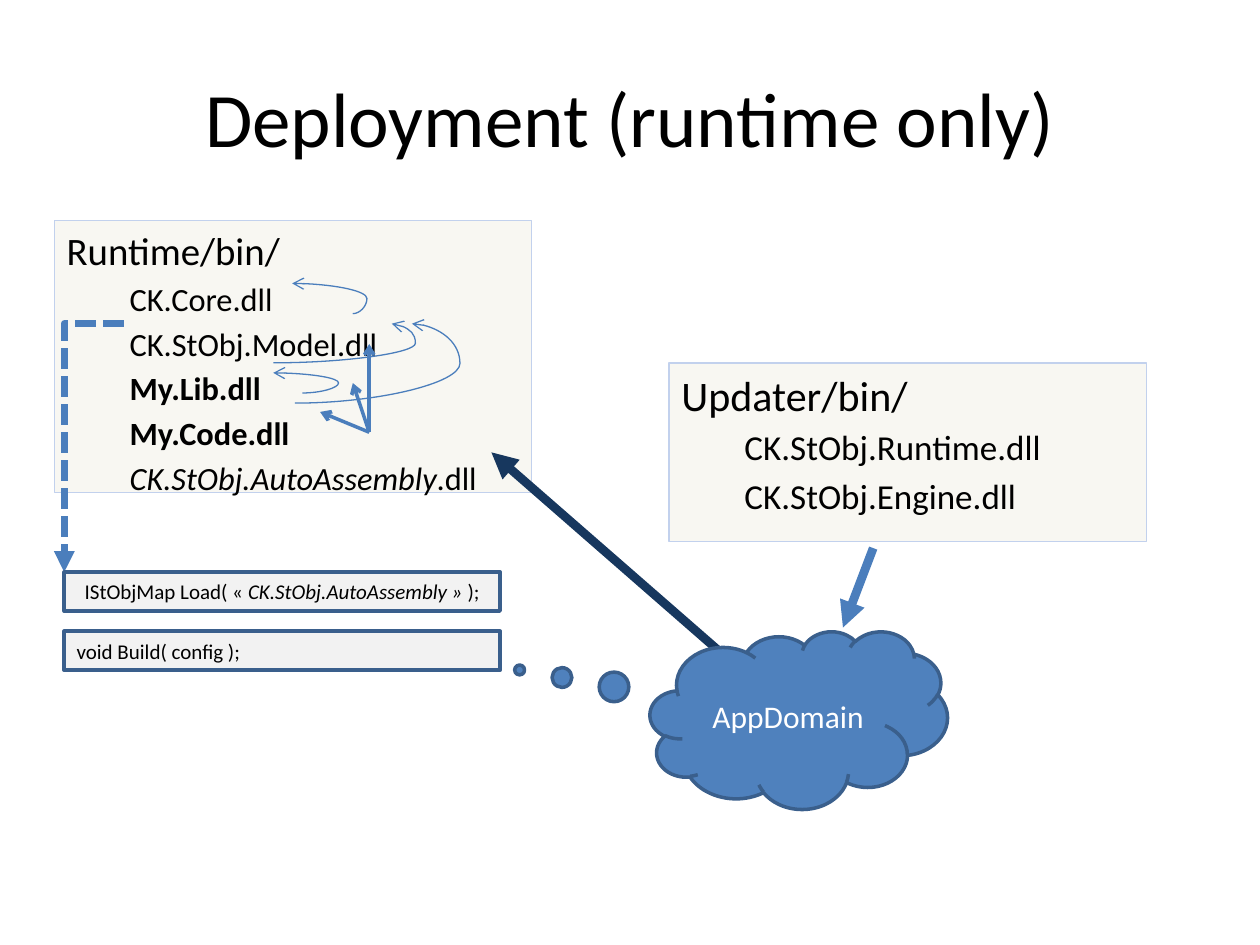
from dataclasses import dataclass

from lxml.etree import SubElement
from pptx import Presentation
from pptx.dml.color import RGBColor
from pptx.enum.dml import MSO_LINE
from pptx.enum.shapes import MSO_CONNECTOR as Link, MSO_SHAPE as Preset
from pptx.enum.text import MSO_ANCHOR as Anchor, PP_ALIGN as Align
from pptx.oxml.ns import qn
from pptx.util import Pt

FONT = "Calibri"
BLACK = RGBColor(0x00, 0x00, 0x00)
WHITE = RGBColor(0xFF, 0xFF, 0xFF)
CREAM = RGBColor(0xEE, 0xEC, 0xE1)
PALE_BLUE = RGBColor(0xC2, 0xD1, 0xED)
LIGHT_GREY = RGBColor(0xF2, 0xF2, 0xF2)
BLUE = RGBColor(0x4F, 0x81, 0xBD)
ARROW_BLUE = RGBColor(0x4B, 0x7E, 0xBC)
EDGE_BLUE = RGBColor(0x3A, 0x5F, 0x8C)
NAVY = RGBColor(0x17, 0x37, 0x5E)


@dataclass
class Span:
    text: str
    bold: bool = False
    italic: bool = False


@dataclass
class Line:
    spans: list[Span]
    size: float
    color: RGBColor = BLACK
    align: Align = Align.LEFT
    indent: float = 0
    gap: float = 0


@dataclass
class Box:
    left: float
    top: float
    width: float
    height: float
    fill: RGBColor
    edge: RGBColor
    edge_width: float
    lines: list[Line]
    preset: Preset = Preset.RECTANGLE
    anchor: Anchor = Anchor.MIDDLE
    opacity: int = 100
    adjust: tuple[float, ...] = ()


@dataclass
class Arrow:
    start: tuple[float, float]
    end: tuple[float, float]
    width: float
    head: str = "arrow"
    color: RGBColor = ARROW_BLUE
    kind: Link = Link.STRAIGHT
    bend: float | None = None
    dotted: bool = False
    quarter_turn: bool = False


def write(frame, lines: list[Line], anchor: Anchor) -> None:
    frame.word_wrap = True
    frame.vertical_anchor = anchor
    for number, line in enumerate(lines):
        para = frame.add_paragraph() if number else frame.paragraphs[0]
        para.alignment = line.align
        para.space_before = Pt(line.gap)
        if line.indent:
            para.level = 1
            properties = para._p.get_or_add_pPr()
            properties.set("marL", str(Pt(line.indent)))
            properties.set("indent", "0")
        for item in line.spans:
            span = para.add_run()
            span.text = item.text
            font = span.font
            font.name, font.size = FONT, Pt(line.size)
            font.bold, font.italic = item.bold, item.italic
            font.color.rgb = line.color


def draw_box(page, box: Box) -> None:
    shape = page.shapes.add_shape(
        box.preset, Pt(box.left), Pt(box.top), Pt(box.width), Pt(box.height))
    shape.shadow.inherit = False
    for index, value in enumerate(box.adjust):
        shape.adjustments[index] = value
    shape.fill.solid()
    shape.fill.fore_color.rgb = box.fill
    if box.opacity < 100:
        color = shape._element.spPr.find(qn("a:solidFill"))[0]
        SubElement(color, qn("a:alpha")).set("val", str(box.opacity * 1000))
    shape.line.color.rgb = box.edge
    shape.line.width = Pt(box.edge_width)
    write(shape.text_frame, box.lines, box.anchor)


def draw_arrow(page, arrow: Arrow) -> None:
    (x1, y1), (x2, y2) = arrow.start, arrow.end
    if arrow.quarter_turn:
        # The frame before turning has the same centre, with its sides swapped
        mid_x, mid_y = (x1 + x2) / 2, (y1 + y2) / 2
        half_w, half_h = abs(y2 - y1) / 2, abs(x2 - x1) / 2
        x1, x2 = mid_x - half_w, mid_x + half_w
        y1, y2 = mid_y - half_h, mid_y + half_h
    link = page.shapes.add_connector(arrow.kind, Pt(x1), Pt(y1), Pt(x2), Pt(y2))
    link.line.color.rgb = arrow.color
    link.line.width = Pt(arrow.width)
    if arrow.dotted:
        link.line.dash_style = MSO_LINE.SQUARE_DOT
    properties = link._element.spPr
    if arrow.quarter_turn:
        properties.find(qn("a:xfrm")).set("rot", "5400000")
    if arrow.bend is not None:
        guides = properties.find(qn("a:prstGeom")).find(qn("a:avLst"))
        guide = SubElement(guides, qn("a:gd"))
        guide.set("name", "adj1")
        guide.set("fmla", f"val {round(arrow.bend * 100000)}")
    SubElement(properties.find(qn("a:ln")), qn("a:tailEnd")).set("type", arrow.head)
    SubElement(properties, qn("a:effectLst"))


def folder(left: float, top: float, height: float, size: float, file_size: float,
           name: str, files: list[list[Span]]) -> Box:
    lines = [Line([Span(name)], size, gap=0.18 * size)]
    lines += [Line(spans, file_size, indent=36, gap=0.18 * file_size) for spans in files]
    return Box(left, top, 272.9, height, CREAM, PALE_BLUE, 0.75, lines,
               anchor=Anchor.TOP, opacity=41)


def method(top: float, spans: list[Span], align: Align) -> Box:
    return Box(36.7, top, 249.1, 22.3, LIGHT_GREY, EDGE_BLUE, 2,
               [Line(spans, 12, align=align)])


def curve(start: tuple[float, float], end: tuple[float, float], bend: float) -> Arrow:
    return Arrow(start, end, 0.75, kind=Link.CURVE, bend=bend)


deck = Presentation()
deck.slide_width, deck.slide_height = Pt(720), Pt(540)
page = deck.slides.add_slide(deck.slide_layouts[6])

# Title
title = page.shapes.add_textbox(Pt(36), Pt(21.6), Pt(648), Pt(90))
write(title.text_frame,
      [Line([Span("Deployment (runtime only)")], 44, align=Align.CENTER)], Anchor.MIDDLE)

# Runtime folder
draw_box(page, folder(31, 126, 155.5, 22.2, 18.5, "Runtime/bin/", [
    [Span("CK.Core.dll")],
    [Span("CK.StObj.Model.dll")],
    [Span("My.Lib.dll", bold=True)],
    [Span("My.Code.dll", bold=True)],
    [Span("CK.StObj.AutoAssembly", italic=True), Span(".dll")],
]))

# Dependencies between the libraries
FAN = (211, 247)
dependencies = [
    curve((201.6, 179.3), (167, 162), -0.235),
    curve((156.2, 207.4), (223.9, 185), 1.2),
    curve((168.5, 230.4), (235.4, 185), 1.411),
    curve((172.8, 224.6), (156.2, 213.1), -1.249),
]
dependencies += [Arrow(FAN, tip, 2) for tip in ((182.9, 235.4), (201.6, 218.9), (211, 196.6))]
for dependency in dependencies:
    draw_arrow(page, dependency)

# Updater folder
draw_box(page, folder(382.3, 207.4, 102.2, 24, 20, "Updater/bin/", [
    [Span("CK.StObj.Runtime.dll")],
    [Span("CK.StObj.Engine.dll")],
]))

# Methods and the dotted link to the loader
draw_arrow(page, Arrow((70.6, 185), (36.7, 326.9), 4, "triangle", kind=Link.ELBOW,
                       bend=0, dotted=True, quarter_turn=True))
draw_box(page, method(326.9, [
    Span("IStObjMap Load( «\u00a0"),
    Span("CK.StObj.AutoAssembly\u00a0» ", italic=True),
    Span(");"),
], Align.CENTER))
draw_box(page, method(360.7, [Span("void Build( config );")], Align.LEFT))

# Application domain
draw_arrow(page, Arrow((499, 313.2), (481.7, 358.6), 5, "triangle"))
draw_arrow(page, Arrow((411.1, 372.2), (280.8, 258.5), 5, "triangle", NAVY))
draw_box(page, Box(371.5, 360.7, 169.9, 101.5, BLUE, EDGE_BLUE, 2,
                   [Line([Span("AppDomain")], 18, WHITE, Align.CENTER)],
                   preset=Preset.CLOUD_CALLOUT, adjust=(-0.939, -0.282)))

deck.save("out.pptx")
